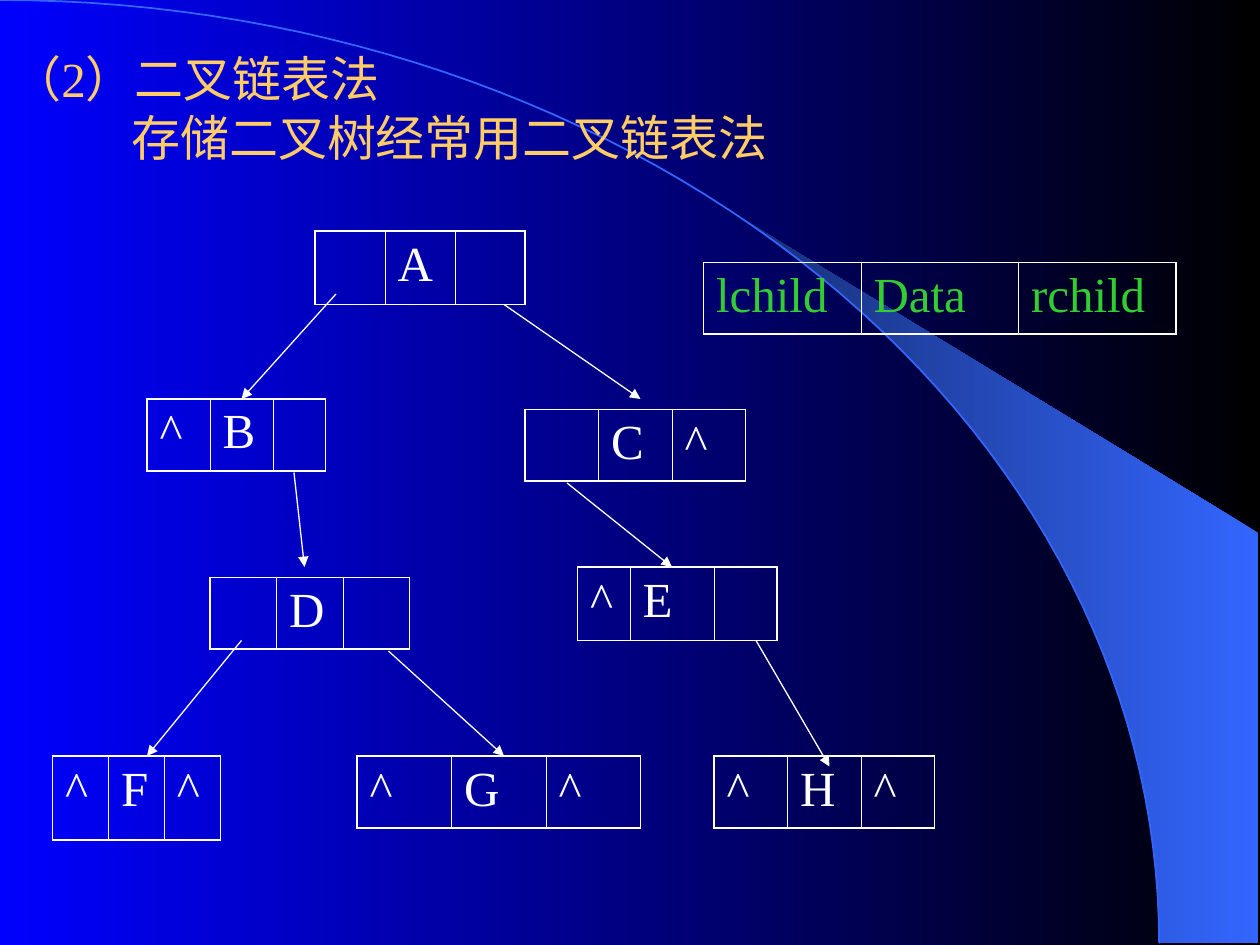
import math
from dataclasses import dataclass

from lxml import etree
from pptx import Presentation
from pptx.dml import color
from pptx.enum import shapes
from pptx.oxml import ns
from pptx.util import Pt


@dataclass(frozen=True)
class Theme:
    font: str = "Times New Roman"
    size: float = 28
    title: str = "FFCC66"
    node: str = "FFFFFF"
    key: str = "33CC33"
    line: str = "FFFFFF"
    back: tuple = ("000000", "0000FF")
    sweep: tuple = ("3366FF", "172F75")
    outer: float = 1.08
    inner: float = 0.45
    arrow: float = 0.75


def rgb(value):
    return color.RGBColor.from_string(value)


def write(p, text, *, font, size, fill, before=0, indent=0):
    """Put one formatted run in a paragraph."""
    p.space_before = Pt(before)
    if indent:
        p._p.get_or_add_pPr().set("marL", str(Pt(indent)))
    r = p.add_run()
    r.text = text
    r.font.name, r.font.size = font, Pt(size)
    r.font.color.rgb = rgb(fill)


def gradient(fill, colors):
    fill.gradient()
    fill.gradient_angle = 180
    for stop, value in zip(fill.gradient_stops, colors):
        stop.color.rgb = rgb(value)


class Deck:
    def __init__(self, theme):
        self.theme = theme
        self.prs = Presentation()
        self.prs.slide_width, self.prs.slide_height = Pt(720), Pt(540)
        self.s = None

    def slide(self):
        self.s = self.prs.slides.add_slide(self.prs.slide_layouts[6])
        gradient(self.s.background.fill, self.theme.back)

    def outline(self, points, closed):
        (x, y), *rest = [(Pt(x), Pt(y)) for x, y in points]
        builder = self.s.shapes.build_freeform(x, y)
        builder.add_line_segments(rest, close=closed)
        sp = builder.convert_to_shape()
        sp.shadow.inherit = False
        if closed:
            gradient(sp.fill, self.theme.sweep)
            sp.line.fill.background()
        else:
            sp.fill.background()
            sp.line.color.rgb = rgb(self.theme.sweep[0])
            sp.line.width = Pt(1)

    def title(self, x, y, w, h, lines):
        """Add a text box from (text, indent) pairs."""
        tf = self.s.shapes.add_textbox(Pt(x), Pt(y), Pt(w), Pt(h)).text_frame
        tf.word_wrap = True
        for i, (text, indent) in enumerate(lines):
            p = tf.add_paragraph() if i else tf.paragraphs[0]
            write(p, text, font=self.theme.font, size=self.theme.size,
                  fill=self.theme.title, indent=indent)

    def record(self, x, y, widths, height, fields, fill):
        """Add a one-row table with thick outer and thin inner rules."""
        t = self.theme
        table = self.s.shapes.add_table(
            1, len(fields), Pt(x), Pt(y), Pt(sum(widths)), Pt(height)).table
        table.first_row = table.horz_banding = False
        last = len(fields) - 1
        for i, (width, field) in enumerate(zip(widths, fields)):
            table.columns[i].width = Pt(width)
            cell = table.cell(0, i)
            self.border(cell, L=t.inner if i else t.outer,
                        R=t.inner if i < last else t.outer,
                        T=t.outer, B=t.outer)
            cell.fill.background()
            if field:
                write(cell.text_frame.paragraphs[0], field, font=t.font,
                      size=t.size, fill=fill, before=7)

    def border(self, cell, **widths):
        tc_pr = cell._tc.get_or_add_tcPr()
        for side, width in widths.items():
            ln = etree.SubElement(tc_pr, ns.qn(f"a:ln{side}"), w=str(Pt(width)))
            solid = etree.SubElement(ln, ns.qn("a:solidFill"))
            etree.SubElement(solid, ns.qn("a:srgbClr"), val=self.theme.line)

    def arrow(self, x1, y1, x2, y2):
        sp = self.s.shapes.add_connector(
            shapes.MSO_CONNECTOR.STRAIGHT, Pt(x1), Pt(y1), Pt(x2), Pt(y2))
        sp.line.color.rgb = rgb(self.theme.line)
        sp.line.width = Pt(self.theme.arrow)
        etree.SubElement(sp.line._get_or_add_ln(), ns.qn("a:tailEnd"), type="triangle")
        etree.SubElement(sp._element.spPr, ns.qn("a:effectLst"))


def arc(start, steps=60, rx=662.4, ry=539):
    """Points on a quarter ellipse, from x = start to its right end."""
    first = math.asin(start / rx)
    angles = [first + (math.pi / 2 - first) * i / steps for i in range(steps + 1)]
    return [(rx * math.sin(a), ry * (1 - math.cos(a))) for a in angles]


# Tree nodes: left, top, column widths, height, fields
NODES = [
    (180, 132, (40, 40, 40), 42, ("", "A", "")),
    (84, 228, (36, 36, 30), 41, ("^", "B", "")),
    (300, 234, (42, 42, 42), 41, ("", "C", "^")),
    (120, 330, (38, 38, 38), 41, ("", "D", "")),
    (330, 324, (30, 48, 36), 42, ("^", "E", "")),
    (30, 432, (32, 32, 32), 48, ("^", "F", "^")),
    (204, 432, (54, 54, 54), 41, ("^", "G", "^")),
    (408, 432, (42, 42, 42), 41, ("^", "H", "^")),
]

# Child links: from x, y to x, y
LINKS = [
    (192, 168, 138, 228),  # A to B
    (288, 174, 366, 228),  # A to C
    (168, 270, 174, 324),  # B to D
    (324, 276, 384, 324),  # C to E
    (138, 366, 84, 432),   # D to F
    (222, 372, 288, 432),  # D to G
    (432, 366, 474, 438),  # E to H
]


def main():
    theme = Theme()
    deck = Deck(theme)
    deck.slide()

    # Background sweep and arc
    deck.outline(arc(424) + [(719, 539), (719, 304.5)], closed=True)
    deck.outline(arc(0), closed=False)

    # Heading
    deck.title(0, 24, 720, 444, [("（2）二叉链表法", 0),
                                 ("存储二叉树经常用二叉链表法", 68)])

    # Binary tree
    for node in NODES:
        deck.record(*node, fill=theme.node)
    for link in LINKS:
        deck.arrow(*link)

    # Record layout
    deck.record(402, 150, (90, 90, 90), 41, ("lchild", "Data", "rchild"),
                fill=theme.key)

    deck.prs.save("out.pptx")


if __name__ == "__main__":
    main()
